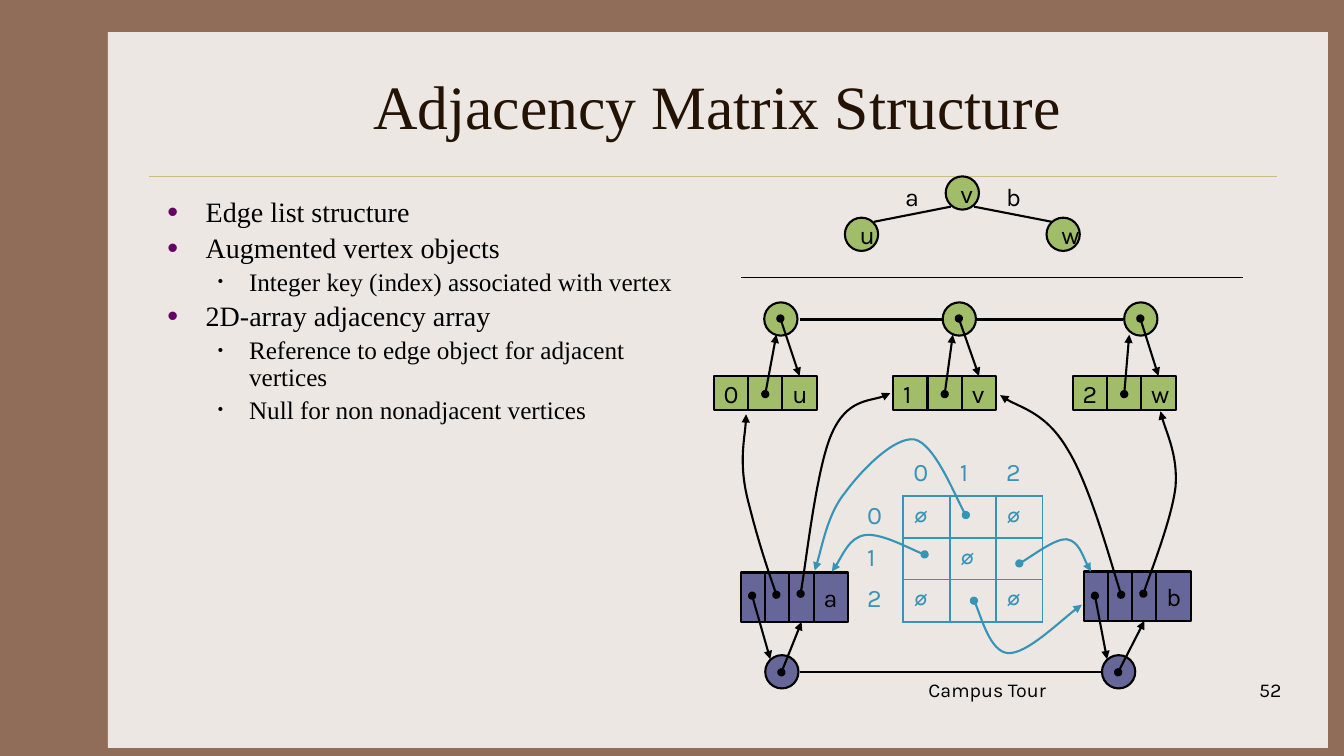
from dataclasses import dataclass
from typing import NamedTuple, Optional

from lxml import etree
from pptx import Presentation
from pptx import util as u
from pptx.dml.color import RGBColor
from pptx.enum import shapes, text
from pptx.oxml.ns import qn

PX = 9144  # EMU per px, 100 px to the inch

BROWN = RGBColor(0x90, 0x6D, 0x58)
PAPER = RGBColor(0xED, 0xE7, 0xE3)
RULE = RGBColor(0xCB, 0xBD, 0x83)
TITLE = RGBColor(0x22, 0x13, 0x04)
BLACK = RGBColor(0, 0, 0)
PURPLE = RGBColor(0x66, 0x00, 0x66)
GREEN = RGBColor(0xA1, 0xBD, 0x69)
VIOLET = RGBColor(0x66, 0x66, 0x99)
BLUE = RGBColor(0x36, 0x94, 0xB6)

SERIF, SANS = "Times New Roman", "Karla"
RECTANGLE = shapes.MSO_SHAPE.RECTANGLE
OVAL = shapes.MSO_SHAPE.OVAL
DIAMETER = 33
VERTEX_TOP, VERTEX_CELL = 373, 34
EDGE_HEIGHT, EDGE_CELL, EDGE_NAME_CELL = 49, 24, 34

Point = tuple[int, int]


class Bullet(NamedTuple):
    words: str
    level: int


@dataclass
class VertexRecord:
    left: int
    circle_left: int
    key: str
    name: str
    tip_x: int  # where the arrow back to the circle ends


@dataclass
class EdgeRecord:
    left: int
    top: int
    circle_left: int
    name: str


@dataclass
class Curve:
    color: RGBColor
    points: list[Point]  # start, then two controls and an end per segment


BULLETS = [
    Bullet("Edge list structure", 0),
    Bullet("Augmented vertex objects", 0),
    Bullet("Integer key (index) associated with vertex", 1),
    Bullet("2D-array adjacency array", 0),
    Bullet("Reference to edge object for adjacent vertices", 1),
    Bullet("Null for non nonadjacent vertices", 1),
]
GRAPH_VERTICES = [("u", 838, 216), ("v", 938, 175), ("w", 1038, 216)]
VERTICES = [
    VertexRecord(708, 758, "0", "u", 770),
    VertexRecord(886, 935, "1", "v", 945),
    VertexRecord(1064, 1115, "2", "w", 1120),
]
EDGES = [EdgeRecord(735, 568, 759, "a"), EdgeRecord(1075, 567, 1093, "b")]
MATRIX = [
    ["", "0", "1", "2"],
    ["0", "∅", "", "∅"],
    ["1", "", "∅", ""],
    ["2", "∅", "", "∅"],
]
CURVES = [
    Curve(BLACK, [(794, 589), (799, 562), (810, 463), (825, 430), (840, 396), (871, 398), (883, 390)]),
    Curve(BLACK, [(770, 590), (765, 575), (753, 541), (743, 501), (732, 461), (740, 430), (740, 411)]),
    Curve(BLACK, [(1112, 590), (1104, 566), (1081, 481), (1059, 446), (1038, 410), (1006, 403), (992, 392)]),
    Curve(BLACK, [(1134, 589), (1140, 571), (1163, 512), (1166, 482), (1168, 452), (1154, 423), (1151, 408)]),
    Curve(BLUE, [(917, 550), (907, 547), (873, 528), (857, 531), (842, 534), (832, 559), (825, 567)]),
    Curve(BLUE, [(958, 511), (950, 499), (927, 440), (907, 436), (887, 433), (854, 467), (838, 489),
                 (821, 510), (814, 550), (808, 566)]),
    Curve(BLUE, [(1011, 559), (1019, 555), (1047, 534), (1058, 535), (1070, 537), (1077, 560), (1082, 567)]),
    Curve(BLUE, [(966, 596), (971, 604), (982, 647), (1000, 648), (1018, 649), (1058, 610), (1073, 600)]),
]


def px(*lengths: int) -> list[u.Emu]:
    return [u.Emu(length * PX) for length in lengths]


def write(paragraph, words: str, *, size: int = 18, font: str = SANS, color: RGBColor = BLACK,
          bold: bool = False, align=text.PP_ALIGN.LEFT) -> None:
    paragraph.alignment = align
    run = paragraph.add_run()
    run.text = words
    run.font.size, run.font.name, run.font.bold = u.Pt(size), font, bold
    run.font.color.rgb = color


def add_label(slide, words: str, box: tuple, *, wrap: bool = True, **style) -> None:
    frame = slide.shapes.add_textbox(*px(*box)).text_frame
    frame.word_wrap = wrap
    write(frame.paragraphs[0], words, **style)


def add_block(slide, kind, box: tuple, fill: RGBColor, words: str = "", outlined: bool = True):
    shape = slide.shapes.add_shape(kind, *px(*box))
    shape.shadow.inherit = False
    shape.fill.solid()
    shape.fill.fore_color.rgb = fill
    if outlined:
        shape.line.color.rgb, shape.line.width = BLACK, u.Pt(1.5)
    else:
        shape.line.fill.background()
    if words:
        shape.text_frame.word_wrap = False
        shape.text_frame.vertical_anchor = text.MSO_ANCHOR.MIDDLE
        write(shape.text_frame.paragraphs[0], words)
    return shape


def add_pointer_ends(shape) -> None:
    """Put a dot at the start of the line and an arrowhead at its end."""
    line = shape._element.spPr.find(qn("a:ln"))
    etree.SubElement(line, qn("a:headEnd"), type="oval")
    etree.SubElement(line, qn("a:tailEnd"), type="triangle")


def add_line(slide, start: Point, end: Point, *, color: RGBColor = BLACK, width: float = 1.5,
             pointer: bool = False, target: Optional[tuple] = None) -> None:
    """Draw a straight line; target is a shape and the side to join."""
    connector = slide.shapes.add_connector(shapes.MSO_CONNECTOR.STRAIGHT, *px(*start, *end))
    connector.line.color.rgb, connector.line.width = color, u.Pt(width)
    etree.SubElement(connector._element.spPr, qn("a:effectLst"))
    if pointer:
        add_pointer_ends(connector)
    if target:
        connector.end_connect(*target)


def add_curve(slide, curve: Curve) -> None:
    builder = slide.shapes.build_freeform(*curve.points[0], scale=PX)
    builder.add_line_segments(curve.points[1:], close=False)
    shape = builder.convert_to_shape()
    shape.shadow.inherit = False
    shape.fill.background()
    shape.line.color.rgb, shape.line.width = curve.color, u.Pt(1.5)
    add_pointer_ends(shape)
    steps = list(shape._element.iter(qn("a:lnTo")))
    for first in range(0, len(steps), 3):
        bezier = etree.Element(qn("a:cubicBezTo"))
        steps[first].addprevious(bezier)
        for step in steps[first:first + 3]:
            bezier.append(step[0])
            step.getparent().remove(step)


def fill_bullets(body) -> None:
    frame = body.text_frame
    frame.auto_size = text.MSO_AUTO_SIZE.NONE
    for index, bullet in enumerate(BULLETS):
        paragraph = frame.add_paragraph() if index else frame.paragraphs[0]
        paragraph.level, paragraph.line_spacing = bullet.level, 0.9
        size, margin, indent, color, percent = [
            (20, 38, -38, PURPLE, 110), (18, 81, -31, BLACK, 60)][bullet.level]
        write(paragraph, bullet.words, size=size, font=SERIF)
        properties = paragraph._p.get_or_add_pPr()
        properties.set("marL", str(margin * PX))
        properties.set("indent", str(indent * PX))
        bullet_color = etree.SubElement(properties, qn("a:buClr"))
        etree.SubElement(bullet_color, qn("a:srgbClr"), val=str(color))
        etree.SubElement(properties, qn("a:buSzPct"), val=str(percent * 1000))
        etree.SubElement(properties, qn("a:buChar"), char="•")


def set_borders(cell, blue_sides: str) -> None:
    properties = cell._tc.get_or_add_tcPr()
    for index, side in enumerate("LRTB"):
        border = etree.Element(qn(f"a:ln{side}"), w=str(u.Pt(1.5)))
        if side in blue_sides:
            fill = etree.SubElement(border, qn("a:solidFill"))
            etree.SubElement(fill, qn("a:srgbClr"), val=str(BLUE))
        else:
            etree.SubElement(border, qn("a:noFill"))
        properties.insert(index, border)


def add_matrix(slide) -> None:
    table = slide.shapes.add_table(4, 4, *px(850, 450, 184, 166)).table
    table.first_row = table.horz_banding = False
    for column in table.columns:
        column.width = px(46)[0]
    for row, height in zip(table.rows, (42, 42, 41, 42)):
        row.height = px(height)[0]
    for i, words in enumerate(MATRIX):
        for j, word in enumerate(words):
            cell = table.cell(i, j)
            cell.fill.background()
            set_borders(cell, "LRTB" if i and j else "R" if i else "B" if j else "")
            if word:
                write(cell.text_frame.paragraphs[0], word, color=BLUE, bold=word == "∅")


def add_vertex(slide, vertex: VertexRecord) -> None:
    add_block(slide, OVAL, (vertex.circle_left, 300, DIAMETER, DIAMETER), GREEN)
    for index, word in enumerate((vertex.key, "", vertex.name)):
        left = vertex.left + index * VERTEX_CELL
        cell = add_block(slide, RECTANGLE, (left, VERTEX_TOP, VERTEX_CELL, VERTEX_CELL), GREEN, word)
    add_line(slide, (vertex.circle_left + 16, 316), (left + 17, VERTEX_TOP), pointer=True, target=(cell, 0))
    add_line(slide, (vertex.left + 51, 391), (vertex.tip_x, 332), pointer=True)


def add_edge(slide, edge: EdgeRecord) -> None:
    add_block(slide, OVAL, (edge.circle_left, 650, DIAMETER, DIAMETER), VIOLET)
    cells = [add_block(slide, RECTANGLE, (edge.left + index * EDGE_CELL, edge.top, width, EDGE_HEIGHT), VIOLET, word)
             for index, (width, word) in enumerate([(EDGE_CELL, "")] * 3 + [(EDGE_NAME_CELL, edge.name)])]
    add_line(slide, (edge.circle_left + 16, 667), (edge.left + 60, edge.top + EDGE_HEIGHT),
             pointer=True, target=(cells[2], 2))
    add_line(slide, (edge.left + 11, 591), (edge.circle_left + 5, 654), pointer=True)


def main() -> None:
    presentation = Presentation()
    presentation.slide_width, presentation.slide_height = px(1333, 750)
    slide = presentation.slides.add_slide(presentation.slide_layouts[1])
    slide.background.fill.solid()
    slide.background.fill.fore_color.rgb = BROWN
    title, body = slide.placeholders
    panel = add_block(slide, RECTANGLE, (107, 32, 1210, 710), PAPER, outlined=False)
    title._element.addprevious(panel._element)
    add_line(slide, (148, 175), (1267, 175), color=RULE, width=0.25)

    title.left, title.top, title.width, title.height = px(156, 42, 1111, 125)
    title.text_frame.vertical_anchor = text.MSO_ANCHOR.MIDDLE
    write(title.text_frame.paragraphs[0], "Adjacency Matrix Structure", size=44, font=SERIF,
          color=TITLE, align=text.PP_ALIGN.CENTER)
    body.left, body.top, body.width, body.height = px(156, 192, 544, 450)
    fill_bullets(body)
    add_label(slide, "52", (1003, 668, 278, 50), size=14, align=text.PP_ALIGN.RIGHT)
    add_label(slide, "Campus Tour", (911, 668, 422, 50), size=14)

    for name, left, top in GRAPH_VERTICES:
        add_block(slide, OVAL, (left, top, DIAMETER, DIAMETER), GREEN, name)
    for name, left, start_x, end_x in (("a", 888, 943, 867), ("b", 988, 966, 1043)):
        add_line(slide, (start_x, 205), (end_x, 220))
        add_label(slide, name, (left, 175, 33, 40), wrap=False)
    add_line(slide, (735, 275), (1233, 275), width=0.75)

    add_matrix(slide)
    add_line(slide, (1092, 667), (793, 667))
    add_line(slide, (1114, 317), (793, 317))
    for vertex in VERTICES:
        add_vertex(slide, vertex)
    for edge in EDGES:
        add_edge(slide, edge)
    for curve in CURVES:
        add_curve(slide, curve)
    presentation.save("out.pptx")


if __name__ == "__main__":
    main()
